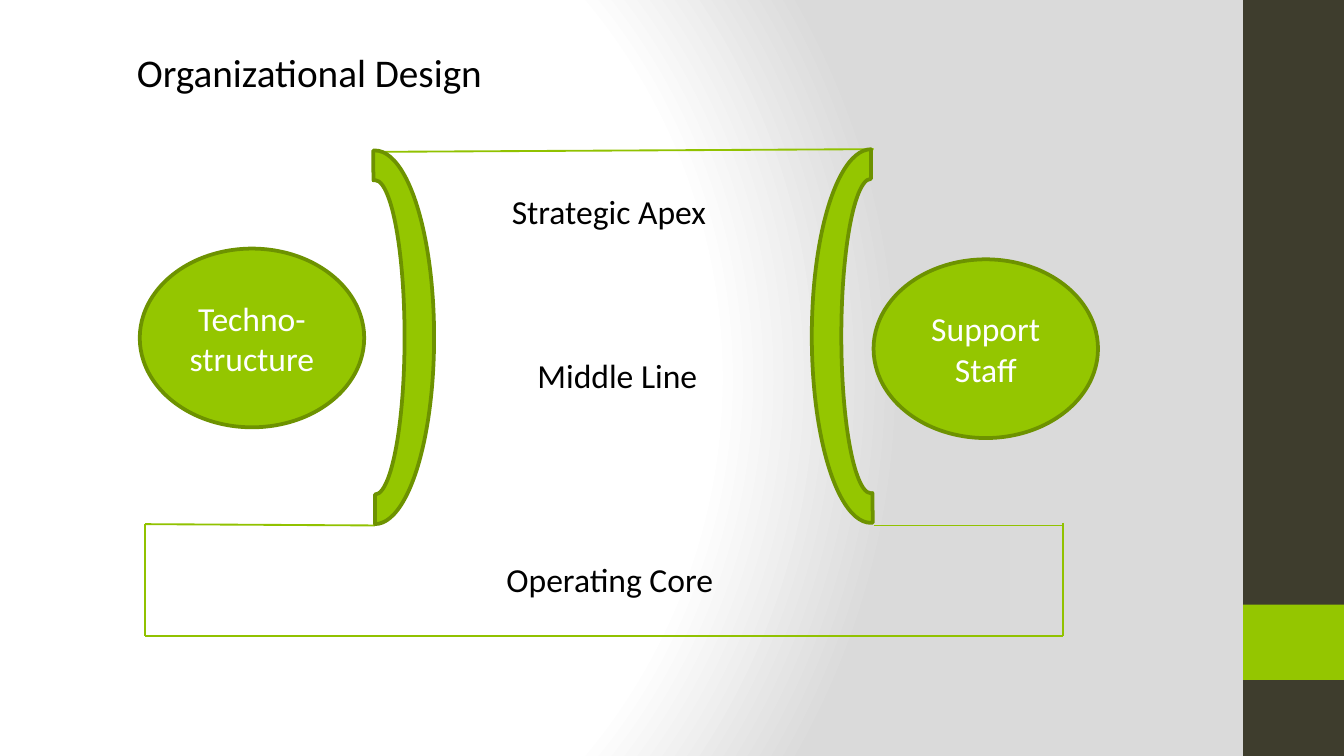
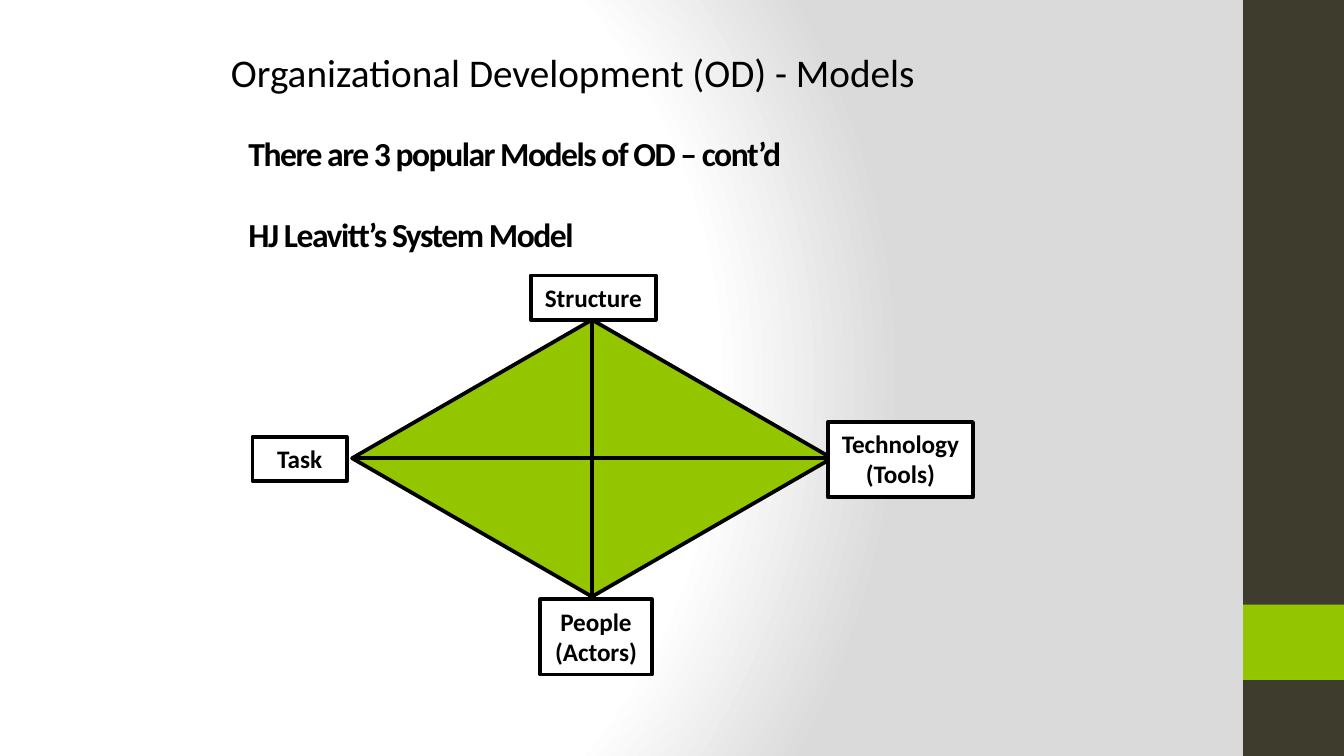
from dataclasses import dataclass

from pptx import Presentation
from pptx.dml.color import RGBColor
from pptx.enum.shapes import MSO_CONNECTOR as Conn, MSO_SHAPE as Kind
from pptx.enum.text import MSO_ANCHOR as Anchor, MSO_AUTO_SIZE as Fit, PP_ALIGN as Align
from pptx.oxml import parse_xml
from pptx.oxml.ns import nsdecls, qn
from pptx.util import Inches, Pt


@dataclass(frozen=True)
class Theme:
    """Colours, font and type sizes shared by the slides."""
    green: str = "94C600"
    edge: str = "6D9200"
    rule: str = "91C200"
    dark: str = "3E3D2D"
    black: str = "000000"
    white: str = "FFFFFF"
    grey: str = "DADADA"
    font: str = "Calibri"
    head: float = 21
    body: float = 18
    small: float = 13.5
    thin: float = 1
    thick: float = 2


T = Theme()
COLS, ROWS = 100, 56.25
CELL = Inches(10) // COLS


def grid(*cells):
    """Turn counts of grid cells into lengths."""
    return [round(n * CELL) for n in cells]


def paint(slides):
    """Give the slide master its radial backdrop."""
    master = slides.slide_master
    master.background.fill.gradient()
    old = next(master.element.iter(qn("a:gradFill")))
    stops = "".join(
        f'<a:gs pos="{pos}000"><a:srgbClr val="{tone}"/></a:gs>'
        for pos, tone in ((0, T.white), (75, T.white), (100, T.grey)))
    new = parse_xml(
        f'<a:gradFill {nsdecls("a")} rotWithShape="1"><a:gsLst>{stops}</a:gsLst>'
        '<a:path path="circle"><a:fillToRect l="20000" t="50000" r="100000" b="50000"/>'
        '</a:path></a:gradFill>')
    old.getparent().replace(old, new)


def write(shape, lines, size, tone=T.black, bold=False, align=Align.LEFT, wrap=True, gap=0):
    """Fill a shape with paragraphs of one style."""
    frame = shape.text_frame
    frame.word_wrap = wrap
    frame.text = "\n".join(lines)
    for i, para in enumerate(frame.paragraphs):
        para.alignment = align
        para.font.name, para.font.size, para.font.bold = T.font, Pt(size), bold
        para.font.color.rgb = RGBColor.from_string(tone)
        if gap and i:
            para.space_before = Pt(gap)
    return frame


def form(slide, kind, at, fill, edge=None):
    """Add a filled preset shape, outlined if an edge colour is given."""
    shape = slide.shapes.add_shape(kind, *grid(*at))
    shape.shadow.inherit = False
    shape.fill.solid()
    shape.fill.fore_color.rgb = RGBColor.from_string(fill)
    if edge:
        shape.line.color.rgb = RGBColor.from_string(edge)
        shape.line.width = Pt(T.thick)
    else:
        shape.line.fill.background()
    return shape


def rule(slide, ends, tone, width):
    """Add a straight line between two grid points."""
    line = slide.shapes.add_connector(Conn.STRAIGHT, *grid(*ends))
    line.line.color.rgb = RGBColor.from_string(tone)
    line.line.width = Pt(width)
    line._element.spPr.append(parse_xml(f'<a:effectLst {nsdecls("a")}/>'))
    return line


def page(slides, title, left, width):
    """Add a slide with its side bands and title."""
    slide = slides.slides.add_slide(slides.slide_layouts[6])
    form(slide, Kind.RECTANGLE, (92.5, 0, 7.5, ROWS), T.dark)
    form(slide, Kind.RECTANGLE, (92.5, 45, 7.5, 5.6), T.green)
    write(slide.shapes.add_textbox(*grid(left, 3.1, width, 6.2)), [title], T.head)
    return slide


def oval(slide, text, left, top):
    """Add a green ellipse with white centred text."""
    shape = form(slide, Kind.OVAL, (left, top, 16.7, 13.3), T.green, T.edge)
    frame = write(shape, [text], T.body, T.white, align=Align.CENTER)
    frame.vertical_anchor = Anchor.MIDDLE


def arc(slide, left, top, turn):
    """Add a block arc turned on its side."""
    shape = form(slide, Kind.BLOCK_ARC, (left, top, 27.8, 8.8), T.green, T.edge)
    shape.rotation = turn
    for i, value in enumerate((107.66, 0, 0.25)):
        shape.adjustments[i] = value


def label(slide, text, left, top, width):
    """Add a one-line caption."""
    box = slide.shapes.add_textbox(*grid(left, top, width, 4))
    write(box, [text], T.body, wrap=False).auto_size = Fit.SHAPE_TO_FIT_TEXT


def tag(slide, lines, at):
    """Add a white outlined box with bold centred lines."""
    shape = form(slide, Kind.RECTANGLE, at, T.white, T.black)
    frame = write(shape, lines, T.small, bold=True, align=Align.CENTER, wrap=False)
    frame.vertical_anchor = Anchor.TOP


def design(slides):
    """Draw the five parts of an organization."""
    slide = page(slides, "Organizational Design", 9.2, 59)
    oval(slide, "Techno-structure", 10.4, 18.5)
    oval(slide, "Support Staff", 65, 19.3)
    left, right, neck, mouth, top, base = 10.8, 79.1, 27.9, 65, 39, 47.3
    for ends in ((neck, 11.3, mouth, 11.1), (left, top, neck, 39.1),
                 (left, base, right, base), (mouth, 39.1, right, 39.1),
                 (left, top, left, base), (right, 38.9, right, base)):
        rule(slide, ends, T.rule, T.thin)
    arc(slide, 50.9, 20.6, 270)
    arc(slide, 14, 20.7, 90)
    label(slide, "Strategic Apex", 37.1, 13.7, 16.6)
    label(slide, "Middle Line", 39, 25.9, 14.1)
    label(slide, "Operating Core", 36.7, 41.1, 17.6)


def models(slides):
    """Draw the diamond of the system model."""
    slide = page(slides, "Organizational Development (OD) - Models", 16.2, 58.1)
    box = slide.shapes.add_textbox(*grid(17.5, 9.4, 58.1, 43.8))
    lines = ["There are 3 popular Models of OD – cont’d", "HJ Leavitt’s System Model"]
    frame = write(box, lines, T.body, bold=True, gap=22)
    for para in frame.paragraphs:
        for run in para.runs:
            run._r.get_or_add_rPr().set("spc", "-80")
    gem = form(slide, Kind.FLOWCHART_DECISION, (26.2, 23.8, 35.7, 20.6), T.green, T.black)
    for start, end in ((0, 2), (1, 3)):
        line = rule(slide, (0, 0, 1, 1), T.black, T.thick)
        line.begin_connect(gem, start)
        line.end_connect(gem, end)
    tag(slide, ["Structure"], (39.5, 20.5, 9.3, 3.3))
    tag(slide, ["Task"], (18.8, 32.5, 7, 3.3))
    tag(slide, ["People", "(Actors)"], (40.2, 44.6, 8.3, 5.6))
    tag(slide, ["Technology", "(Tools)"], (61.6, 31.4, 10.8, 5.6))


def main():
    """Build and save the deck."""
    slides = Presentation()
    slides.slide_width, slides.slide_height = grid(COLS, ROWS)
    paint(slides)
    design(slides)
    models(slides)
    slides.save("out.pptx")


if __name__ == "__main__":
    main()
